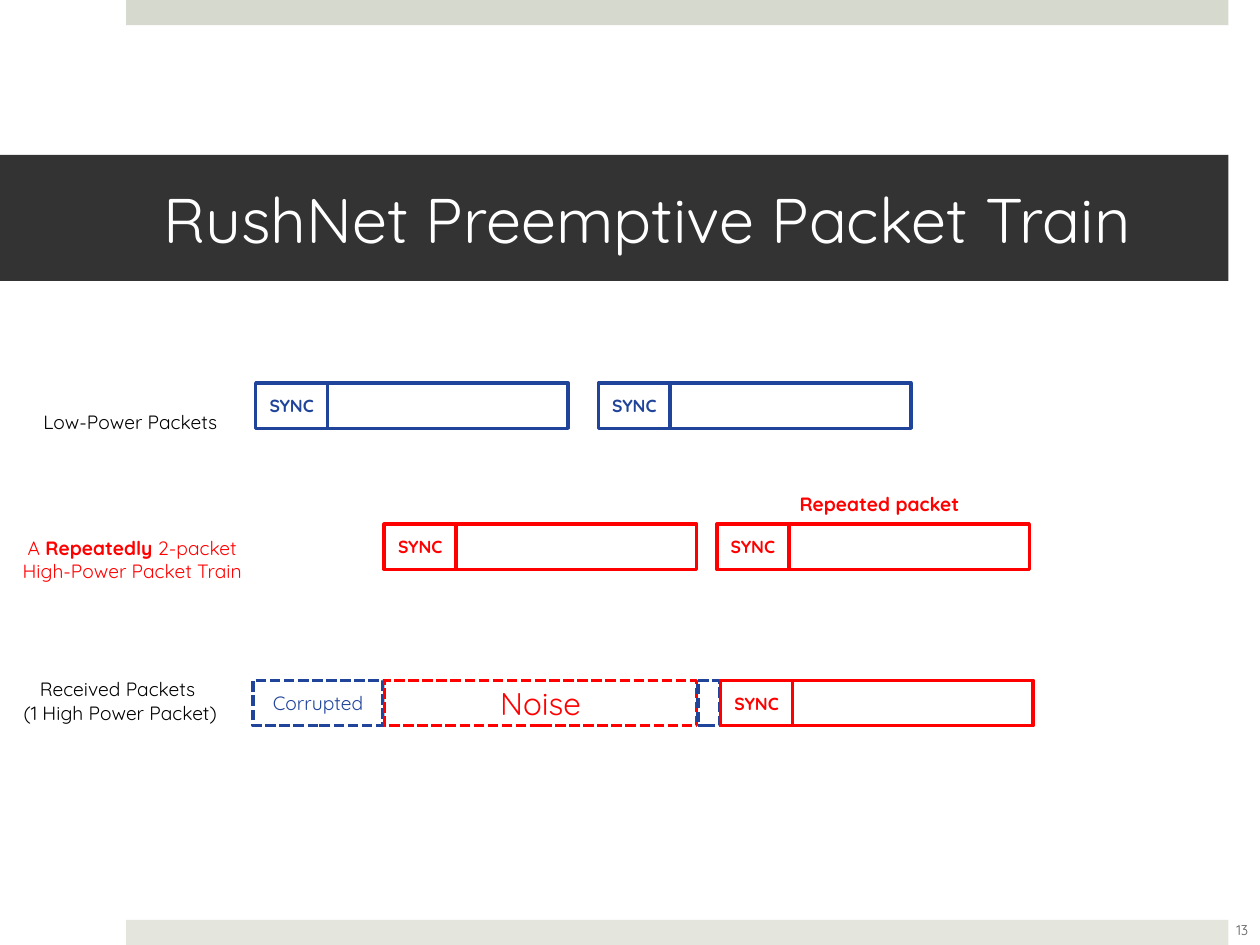
from pptx import Presentation
from pptx.dml.color import RGBColor
from pptx.enum.dml import MSO_LINE
from pptx.enum.shapes import MSO_SHAPE
from pptx.enum.text import MSO_ANCHOR, PP_ALIGN
from pptx.util import Pt

PX = 9144  # 100 px to the inch
FONT = "Quicksand"
BLUE, RED, BLACK, WHITE = "21449B", "FF0000", "000000", "FFFFFF"
RECTANGLE = MSO_SHAPE.RECTANGLE
DASH = MSO_LINE.SQUARE_DOT
MIDDLE, TOP = MSO_ANCHOR.MIDDLE, MSO_ANCHOR.TOP
LEFT, CENTER = PP_ALIGN.LEFT, PP_ALIGN.CENTER

PACKET_HEIGHT, SYNC_WIDTH, BODY_WIDTH = 36, 57, 191
PACKET_WIDTH = SYNC_WIDTH + BODY_WIDTH


def rgb(color):
    return RGBColor.from_string(color)


def emu(box):
    return [length * PX for length in box]


def write(shape, paragraphs, size, color, align=CENTER, anchor=MIDDLE,
          wrap=True, margins=(0, 0, 0, 0)):
    """Fill a shape with paragraphs, each a list of (text, bold) runs."""
    frame = shape.text_frame
    layout = {"word_wrap": wrap, "vertical_anchor": anchor}
    sides = ("margin_left", "margin_top", "margin_right", "margin_bottom")
    layout.update(zip(sides, emu(margins)))
    for name, value in layout.items():
        setattr(frame, name, value)
    for index, runs in enumerate(paragraphs):
        paragraph = frame.add_paragraph() if index else frame.paragraphs[0]
        paragraph.alignment = align
        for text, bold in runs:
            run = paragraph.add_run()
            run.text = text
            for name, value in {"name": FONT, "size": Pt(size), "bold": bold}.items():
                setattr(run.font, name, value)
            run.font.color.rgb = rgb(color)


def add_rectangle(shapes, box, fill=WHITE, line=None, dash=None):
    shape = shapes.add_shape(RECTANGLE, *emu(box))
    shape.shadow.inherit = False
    shape.fill.solid()
    shape.fill.fore_color.rgb = rgb(fill)
    if line:
        shape.line.color.rgb = rgb(line)
        shape.line.width = Pt(2)
        shape.line.dash_style = dash
    else:
        shape.line.fill.background()
    return shape


def add_packet(shapes, left, top, color):
    """Group a SYNC header with the packet body to its right."""
    group = shapes.add_group_shape()
    add_rectangle(group.shapes, (left + SYNC_WIDTH, top, BODY_WIDTH, PACKET_HEIGHT), line=color)
    sync = add_rectangle(group.shapes, (left, top, SYNC_WIDTH, PACKET_HEIGHT), line=color)
    write(sync, [[("SYNC", True)]], 10, color)


def add_dashed_block(shapes, box, color, text=None, size=11):
    block = add_rectangle(shapes, box, line=color, dash=DASH)
    if text:
        write(block, [[(text, False)]], size, color)


def add_label(shapes, box, paragraphs, color):
    label = shapes.add_textbox(*emu(box))
    write(label, paragraphs, 11, color, anchor=TOP, wrap=False, margins=(10, 5, 10, 5))


def add_frame(shapes):
    """Place the bars, the title band and the slide number."""
    add_rectangle(shapes, (100, 0, 875, 20), "D6D9CD")
    add_rectangle(shapes, (100, 730, 875, 20), "E4E6DE")
    title = add_rectangle(shapes, (0, 123, 975, 100), "333333")
    write(title, [[("RushNet Preemptive Packet Train", False)]], 36, WHITE,
          align=LEFT, margins=(130, 5, 30, 5))
    number = shapes.add_textbox(*emu((961, 718, 50, 40)))
    write(number, [[("13", False)]], 8, "595959")


def add_low_power_row(shapes, top):
    add_label(shapes, (21, top + 17, 165, 29), [[("Low-Power Packets", False)]], BLACK)
    for left in (203, 475):
        add_packet(shapes, left, top, BLUE)


def add_high_power_row(shapes, top):
    add_label(shapes, (5, top + 5, 200, 47),
              [[("A ", False), ("Repeatedly ", True), ("2-packet", False)],
               [("High-Power Packet Train", False)]], RED)
    for left in (305, 569):
        add_packet(shapes, left, top, RED)
    add_label(shapes, (622, top - 30, 152, 29), [[("Repeated packet", True)]], RED)


def add_received_row(shapes, top):
    add_label(shapes, (3, top - 7, 185, 47),
              [[("Received Packets ", False)], [("(1 High Power Packet)", False)]], BLACK)
    add_dashed_block(shapes, (201, top, 103, PACKET_HEIGHT), BLUE, "Corrupted")
    add_dashed_block(shapes, (305, top, PACKET_WIDTH, PACKET_HEIGHT), RED, "Noise", 18)
    add_dashed_block(shapes, (554, top, 17, PACKET_HEIGHT), BLUE)
    add_packet(shapes, 572, top, RED)


def main():
    presentation = Presentation()
    presentation.slide_width, presentation.slide_height = emu((1000, 750))
    slide = presentation.slides.add_slide(presentation.slide_layouts[6])
    add_frame(slide.shapes)
    add_low_power_row(slide.shapes, 304)
    add_high_power_row(slide.shapes, 416)
    add_received_row(slide.shapes, 540)
    presentation.save("out.pptx")


if __name__ == "__main__":
    main()
